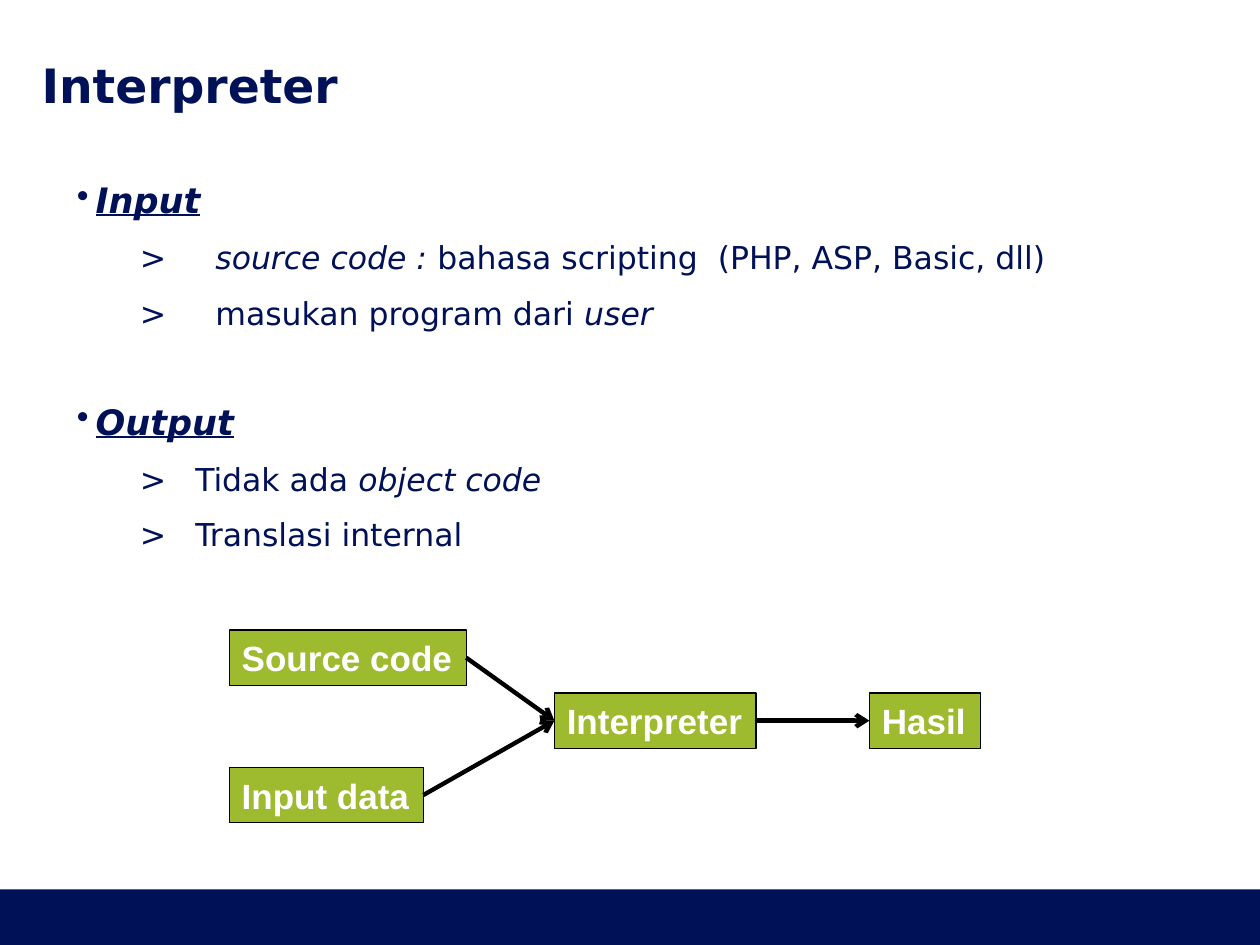
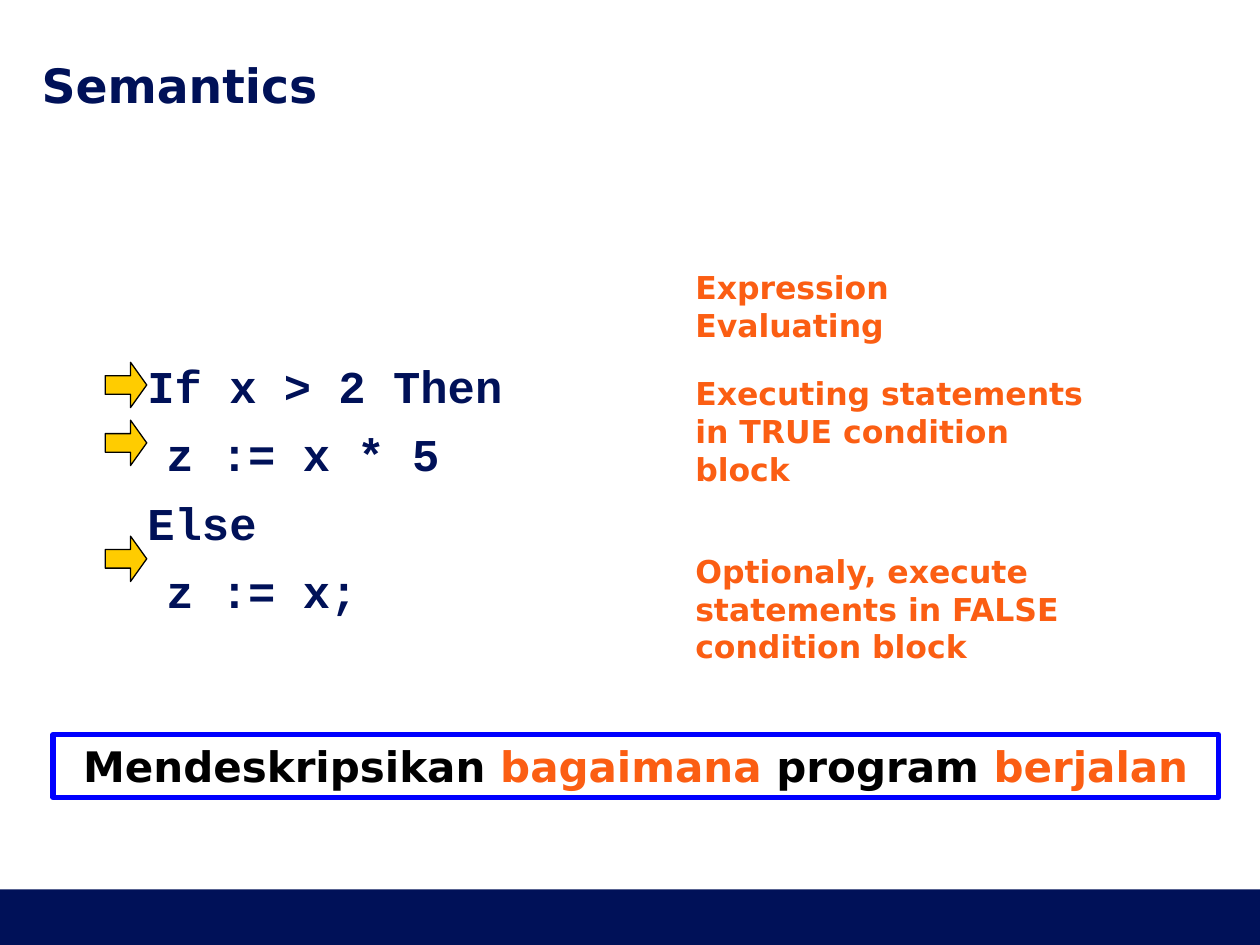
from lxml import etree
from pptx import Presentation
from pptx.dml.color import RGBColor
from pptx.enum import shapes, text
from pptx.oxml.ns import qn
from pptx.util import Pt

PX = 9144
COLORS = {
    "navy": "001158", "green": "9EBA2E", "orange": "FB5E13", "yellow": "FFCC00",
    "blue": "0000FF", "black": "000000", "white": "FFFFFF",
}
SANS, ARIAL, MONO = "DejaVu Sans", "Arial", "Courier New"
LEFT, CENTER = text.PP_ALIGN.LEFT, text.PP_ALIGN.CENTER


def rgb(name):
    return RGBColor.from_string(COLORS[name])


def indent(paragraph, margin, hanging, mark=None):
    props = paragraph._p.get_or_add_pPr()
    props.set("marL", str(margin * PX))
    props.set("indent", str(-hanging * PX))
    if mark:
        tint = etree.SubElement(props, qn("a:buClr"))
        etree.SubElement(tint, qn("a:srgbClr"), val=COLORS["navy"])
        etree.SubElement(props, qn("a:buChar"), char=mark)
    else:
        etree.SubElement(props, qn("a:buNone"))


def write(paragraph, runs, size=18, font=SANS, color="navy", bold=False,
          italic=False, underline=False, align=LEFT, before=0, after=0, spacing=None):
    paragraph.alignment = align
    paragraph.space_before, paragraph.space_after = Pt(before), Pt(after)
    if spacing:
        paragraph.line_spacing = spacing
    for words, changes in [(runs, {})] if isinstance(runs, str) else runs:
        run = paragraph.add_run()
        run.text = words
        run.font.name, run.font.size = font, Pt(size)
        run.font.bold = changes.get("bold", bold)
        run.font.italic = changes.get("italic", italic)
        run.font.underline = changes.get("underline", underline)
        run.font.color.rgb = rgb(changes.get("color", color))


class Deck:
    def __init__(self):
        self.prs = Presentation()
        self.prs.slide_width, self.prs.slide_height = 1000 * PX, 750 * PX
        self.slide = None

    def new_slide(self, title):
        self.slide = self.prs.slides.add_slide(self.prs.slide_layouts[6])
        self.shape(0, 706, 1000, 44, fill="navy")
        frame = self.text_box(33, 44, 934, 47, inset=False)
        frame.vertical_anchor = text.MSO_ANCHOR.MIDDLE
        write(frame.paragraphs[0], title, size=27, bold=True)

    def shape(self, x, y, w, h, kind=shapes.MSO_SHAPE.RECTANGLE, fill=None, line=None, weight=0.75):
        shape = self.slide.shapes.add_shape(kind, x * PX, y * PX, w * PX, h * PX)
        shape.shadow.inherit = False
        if fill:
            shape.fill.solid()
            shape.fill.fore_color.rgb = rgb(fill)
        else:
            shape.fill.background()
        if line:
            shape.line.color.rgb = rgb(line)
            shape.line.width = Pt(weight)
        else:
            shape.line.fill.background()
        return shape

    def text_box(self, x, y, w, h, inset=True):
        frame = self.slide.shapes.add_textbox(x * PX, y * PX, w * PX, h * PX).text_frame
        frame.word_wrap = True
        if not inset:
            frame.margin_left = frame.margin_top = frame.margin_right = frame.margin_bottom = 0
        return frame

    def body(self, x, y, w, h, items):
        frame = self.text_box(x, y, w, h, inset=False)
        for number, (runs, layout, style) in enumerate(items):
            paragraph = frame.add_paragraph() if number else frame.paragraphs[0]
            indent(paragraph, *layout)
            write(paragraph, runs, **(style if number else {**style, "before": 0}))

    def node(self, label, x, y, w):
        box = self.shape(x, y, w, 44, fill="green", line="black")
        frame = box.text_frame
        frame.word_wrap = False
        frame.auto_size = text.MSO_AUTO_SIZE.SHAPE_TO_FIT_TEXT
        write(frame.paragraphs[0], label, size=20, font=ARIAL, color="white", bold=True)
        return box

    def arrow(self, start, end):
        link = self.slide.shapes.add_connector(shapes.MSO_CONNECTOR.STRAIGHT, 0, 0, 0, 0)
        link.begin_connect(start, 3)
        link.end_connect(end, 1)
        link.line.color.rgb = rgb("black")
        link.line.width = Pt(2.5)
        etree.SubElement(link.line._get_or_add_ln(), qn("a:tailEnd"), type="arrow")
        etree.SubElement(link._element.spPr, qn("a:effectLst"))

    def pointer(self, x, y):
        pointer = self.shape(x, y, 36, 33, shapes.MSO_SHAPE.DOWN_ARROW, "yellow", "black")
        pointer.rotation = 270
        pointer.adjustments[0], pointer.adjustments[1] = 0.41, 0.39

    def banner(self, x, y, w, h, runs):
        box = self.shape(x, y, w, h, line="blue", weight=3)
        frame = box.text_frame
        frame.word_wrap = True
        frame.auto_size = text.MSO_AUTO_SIZE.SHAPE_TO_FIT_TEXT
        write(frame.paragraphs[0], runs, size=24, color="black", bold=True, align=CENTER)


def interpreter_slide(deck):
    deck.new_slide("Interpreter")
    gaps = {"before": 5, "after": 5}
    heading = {**gaps, "size": 20, "bold": True, "italic": True, "underline": True}
    bullet, wide, narrow = (15, 15, "•"), (110, 60), (94, 44)
    slanted = {"italic": True}
    deck.body(61, 142, 900, 323, [
        ("Input", bullet, heading),
        ([(">\t", {}), ("source code : ", slanted),
          ("bahasa scripting  (PHP, ASP, Basic, dll)", {})], wide, gaps),
        ([(">\tmasukan program dari ", {}), ("user", slanted)], wide, gaps),
        ("Output", bullet, {**heading, "before": 34.5}),
        ([(">\tTidak ada ", {}), ("object code", slanted)], narrow, gaps),
        (">\tTranslasi internal", narrow, gaps),
    ])
    source = deck.node("Source code", 182, 500, 188)
    interpreter = deck.node("Interpreter", 440, 550, 160)
    result = deck.node("Hasil", 690, 550, 88)
    data = deck.node("Input data", 182, 609, 154)
    for start, end in [(source, interpreter), (data, interpreter), (interpreter, result)]:
        deck.arrow(start, end)


def semantics_slide(deck):
    deck.new_slide("Semantics")
    code = {"size": 26, "font": MONO, "bold": True, "before": 5.5, "after": 5.5, "spacing": 0.9}
    lines = ["If x > 2 Then", "\tz := x * 5", "Else", "\tz := x;"]
    deck.body(117, 289, 330, 208, [(line, (15, 15), code) for line in lines])
    for y, w, h, note in [
        (208, 320, 70, "Expression Evaluating"),
        (292, 347, 100, "Executing statements in TRUE condition block"),
        (433, 350, 100, "Optionaly, execute statements in FALSE condition block"),
    ]:
        frame = deck.text_box(542, y, w, h)
        write(frame.paragraphs[0], note, color="orange", bold=True)
    for row in (0, 1, 3):
        deck.pointer(82, 289 + 46 * row)
    accent = {"color": "orange"}
    deck.banner(42, 583, 925, 50, [
        ("Mendeskripsikan ", {}), ("bagaimana", accent), (" program ", {}), ("berjalan", accent),
    ])


def main():
    deck = Deck()
    interpreter_slide(deck)
    semantics_slide(deck)
    deck.prs.save("out.pptx")


if __name__ == "__main__":
    main()
